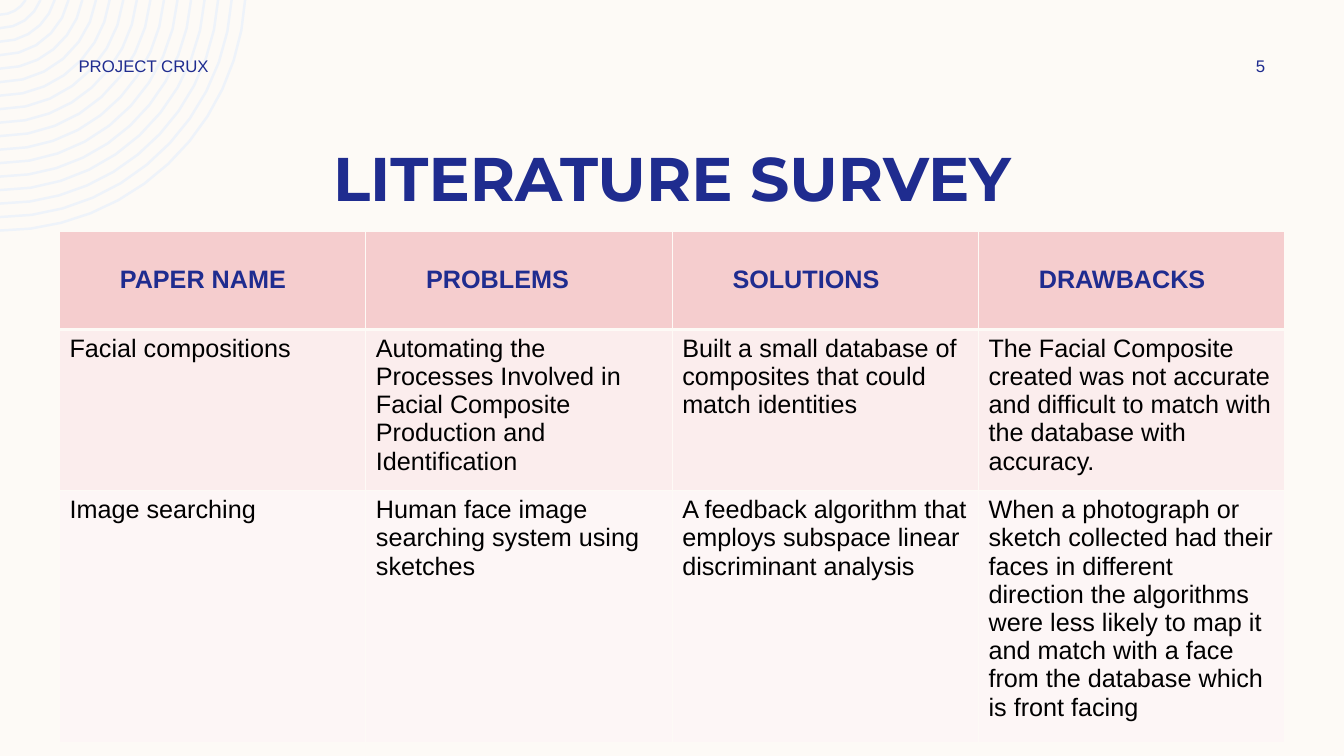
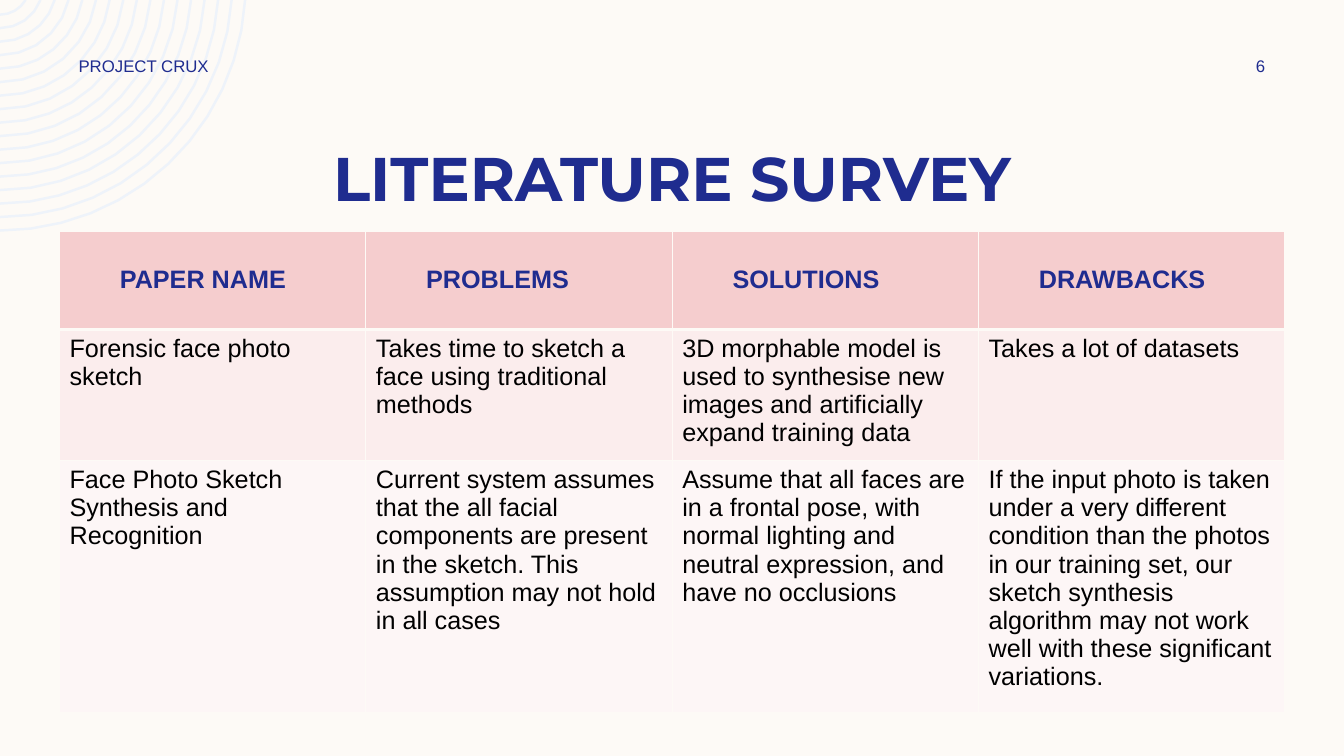
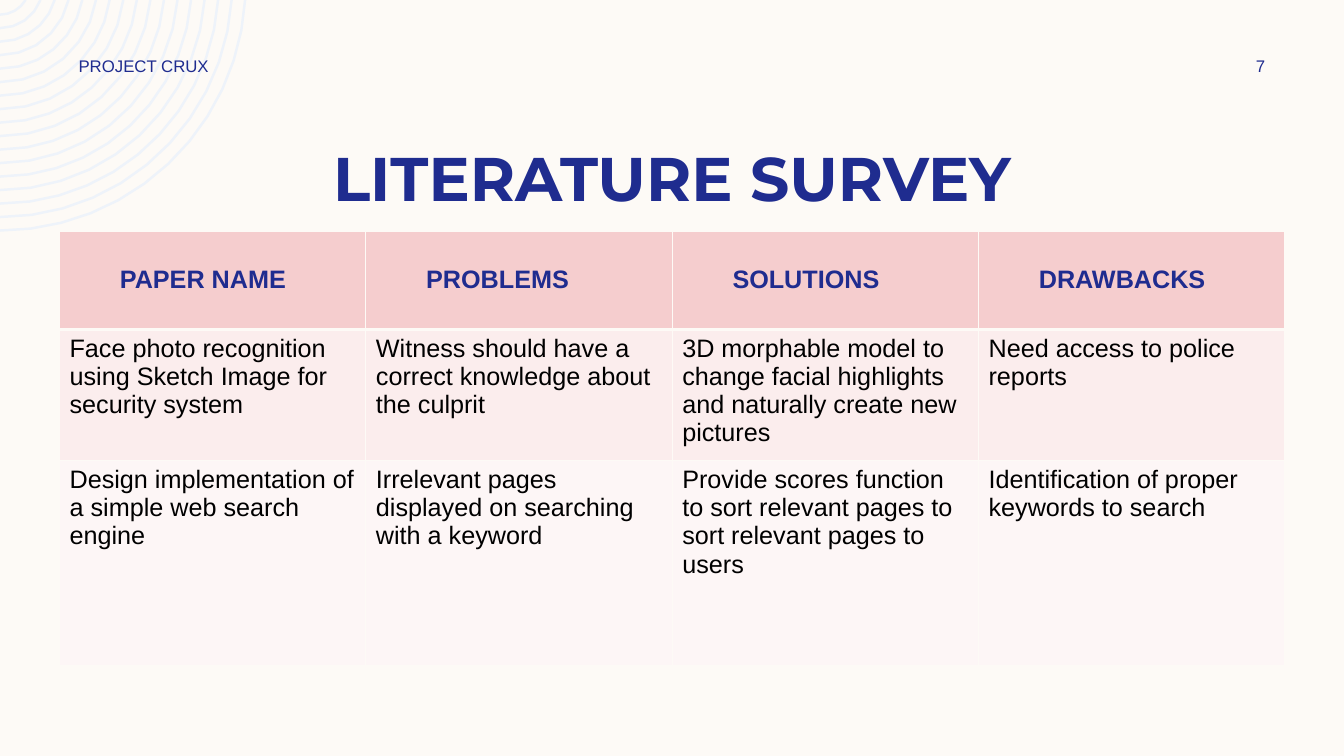
import math

from lxml import etree
from pptx import Presentation
from pptx.dml.color import RGBColor
from pptx.enum import text as t
from pptx.oxml import ns
from pptx.util import Cm, Pt

# Content
HEADER = "PROJECT CRUX"
TITLE = "LITERATURE SURVEY"
COLUMNS = ("PAPER NAME", "PROBLEMS", "SOLUTIONS", "DRAWBACKS")
SURVEYS = {
    5: [
        ("Facial compositions",
         "Automating the Processes Involved in Facial Composite Production and Identification",
         "Built a small database of composites that could match identities",
         "The Facial Composite created was not accurate and difficult to match with the "
         "database with accuracy."),
        ("Image searching",
         "Human face image searching system using sketches",
         "A feedback algorithm that employs subspace linear discriminant analysis",
         "When a photograph or sketch collected had their faces in different direction the "
         "algorithms were less likely to map it and match with a face from the database "
         "which is front facing"),
    ],
    6: [
        ("Forensic face photo sketch",
         "Takes time to sketch a face using traditional methods",
         "3D morphable model is used to synthesise new images and artificially expand "
         "training data",
         "Takes a lot of datasets"),
        ("Face Photo Sketch Synthesis and Recognition",
         "Current system assumes that the all facial components are present in the sketch. "
         "This assumption may not hold in all cases",
         "Assume that all faces are in a frontal pose, with normal lighting and neutral "
         "expression, and have no occlusions",
         "If the input photo is taken under a very different condition than the photos in "
         "our training set, our sketch synthesis algorithm may not work well with these "
         "significant variations."),
    ],
    7: [
        ("Face photo recognition using Sketch Image for security system",
         "Witness should have a correct knowledge about the culprit",
         "3D morphable model to change facial highlights and naturally create new pictures",
         "Need access to police reports"),
        ("Design implementation of a simple web search engine",
         "Irrelevant pages displayed on searching with a keyword",
         "Provide scores function to sort relevant pages to sort relevant pages to users",
         "Identification of proper keywords to search"),
    ],
}

# Theme: colours, fonts and sizes
THEME = {
    "paper": "FDFAF6",
    "rings": "EEF3FA",
    "rows": ("F5CDCE", "FBEDED", "FDF6F6"),
    "title": {"name": "Montserrat", "size": Pt(44), "bold": True, "color": "1F2C8F"},
    "label": {"name": "Arial", "size": Pt(12), "bold": False, "color": "1F2C8F"},
    "heading": {"name": "Arial", "size": Pt(18), "bold": True, "color": "1F2C8F"},
    "body": {"name": "Arial", "size": Pt(18), "bold": False, "color": "000000"},
}

# Layout
SLIDE_SIZE = (Cm(33.87), Cm(19.05))
TITLE_BOX = (Cm(2.12), Cm(3.38), Cm(29.64), Cm(2.13))
HEADER_BOX = (Cm(1.73), Cm(1.27), Cm(8.89), Cm(0.76))
NUMBER_BOX = (Cm(30.4), Cm(1.27), Cm(2.74), Cm(0.76))
TABLE_AT = (Cm(1.5), Cm(5.84))
COLUMN_WIDTH = Cm(7.72)
ROW_HEIGHTS = (Cm(2.46), Cm(3.3), Cm(5.16))
HEADING_MARGINS = {"margin_left": Cm(1.52), "margin_top": Cm(0.86)}
THIN, THICK = Pt(1), Pt(3)

# Rings, in thousandths of a centimetre, centred just above the slide corner
RING_COUNT, RING_STEP, FIRST_RADIUS, RING_RISE = 17, 340, 750, 380
RING_LINE = Pt(1.75)


def write(frame, words, style, align=t.PP_ALIGN.LEFT):
    paragraph = frame.paragraphs[0]
    paragraph.alignment = align
    run = paragraph.add_run()
    run.text = words
    for key, value in style.items():
        if key == "color":
            run.font.color.rgb = RGBColor.from_string(value)
        else:
            setattr(run.font, key, value)


def add_text(slide, box, words, style, align=t.PP_ALIGN.LEFT):
    frame = slide.shapes.add_textbox(*box).text_frame
    frame.word_wrap = True
    frame.vertical_anchor = t.MSO_ANCHOR.MIDDLE
    write(frame, words, style, align)


def arc(radius, steps):
    start = math.asin(RING_RISE / radius)
    angles = [start + (math.pi / 2 - start) * i / steps for i in range(steps + 1)]
    return [(round(radius * math.cos(a)), round(radius * math.sin(a) - RING_RISE))
            for a in angles]


def add_rings(slide):
    # Larger rings get more points
    arcs = [arc(FIRST_RADIUS + i * RING_STEP, 4 + i // 2) for i in range(RING_COUNT)]
    builder = slide.shapes.build_freeform(*arcs[0][0], scale=Cm(1) / 1000)
    for i, points in enumerate(arcs):
        if i:
            builder.move_to(*points[0])
        builder.add_line_segments(points[1:], close=False)
    rings = builder.convert_to_shape()
    rings.shadow.inherit = False
    rings.fill.background()
    rings.line.color.rgb = RGBColor.from_string(THEME["rings"])
    rings.line.width = RING_LINE
    return rings


def set_borders(cell, row):
    widths = {"lnL": THIN, "lnR": THIN,
              "lnT": THICK if row == 1 else THIN,
              "lnB": THICK if row == 0 else THIN}
    properties = cell._tc.get_or_add_tcPr()
    for side, width in widths.items():
        line = etree.SubElement(properties, ns.qn("a:" + side), w=str(width))
        fill = etree.SubElement(line, ns.qn("a:solidFill"))
        etree.SubElement(fill, ns.qn("a:srgbClr"), val=THEME["paper"])


def add_survey(slide, papers):
    rows = [COLUMNS, *papers]
    survey = slide.shapes.add_table(len(rows), len(COLUMNS), *TABLE_AT,
                                    COLUMN_WIDTH * len(COLUMNS), sum(ROW_HEIGHTS)).table
    for column in survey.columns:
        column.width = COLUMN_WIDTH
    for r, entries in enumerate(rows):
        survey.rows[r].height = ROW_HEIGHTS[r]
        for c, words in enumerate(entries):
            cell = survey.cell(r, c)
            set_borders(cell, r)
            cell.fill.solid()
            cell.fill.fore_color.rgb = RGBColor.from_string(THEME["rows"][r])
            if r == 0:
                for key, value in HEADING_MARGINS.items():
                    setattr(cell, key, value)
            write(cell.text_frame, words, THEME["body" if r else "heading"])


def main():
    deck = Presentation()
    deck.slide_width, deck.slide_height = SLIDE_SIZE
    blank = deck.slide_layouts[6]
    blank.background.fill.solid()
    blank.background.fill.fore_color.rgb = RGBColor.from_string(THEME["paper"])
    for number, papers in SURVEYS.items():
        slide = deck.slides.add_slide(blank)
        if len(deck.slides) == 1:
            # The rings move to the layout, where all slides share them
            blank.shapes.element.append(add_rings(slide).element)
        add_text(slide, TITLE_BOX, TITLE, THEME["title"], t.PP_ALIGN.CENTER)
        add_text(slide, HEADER_BOX, HEADER, THEME["label"])
        add_text(slide, NUMBER_BOX, str(number), THEME["label"], t.PP_ALIGN.CENTER)
        add_survey(slide, papers)
    deck.save("out.pptx")


if __name__ == "__main__":
    main()
